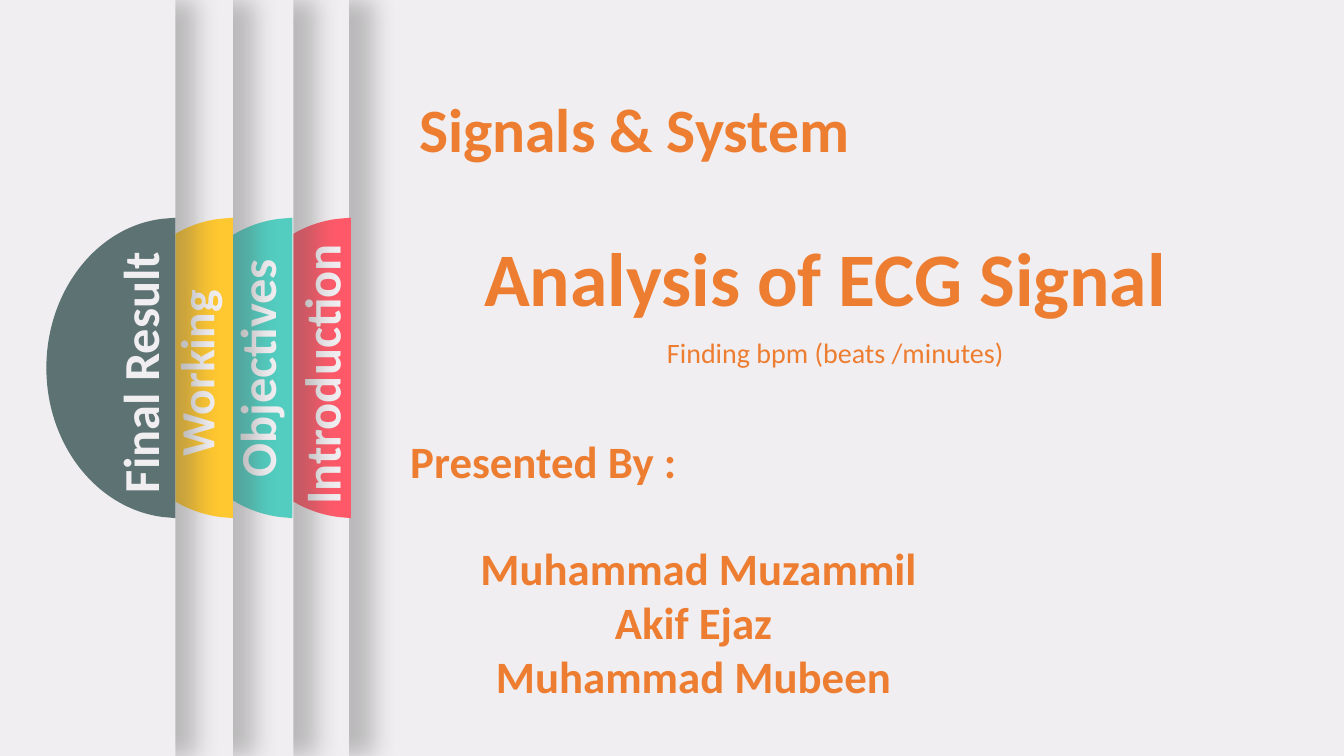
from lxml import etree
from pptx import Presentation
from pptx.dml.color import RGBColor
from pptx.enum.shapes import MSO_SHAPE
from pptx.enum.text import MSO_ANCHOR, MSO_AUTO_SIZE, PP_ALIGN
from pptx.oxml.ns import qn
from pptx.util import Inches, Pt

RECTANGLE = MSO_SHAPE.RECTANGLE
TOP = MSO_ANCHOR.TOP
NO_AUTOFIT = MSO_AUTO_SIZE.NONE
LEFT, CENTER = PP_ALIGN.LEFT, PP_ALIGN.CENTER

BACKGROUND = "F0EEF0"
ORANGE = "ED7D31"
SHADOW = "595959"
SLIDE_WIDTH, SLIDE_HEIGHT = 13.33, 7.5
TAB_TOP, TAB_HEIGHT = 2.16, 2.98
TAB_OUTLINE = [
    (0, 0), (0, 2.98), (-0.12, 2.97),
    (-0.77, 2.89), (-1.28, 2.26), (-1.28, 1.49),
    (-1.28, 0.72), (-0.77, 0.08), (-0.12, 0.01),
]

TABS = [
    ("Introduction", -10.19, 13.65, 3.48, "FF5969", 36,
     (1.77, 3.36, 2.83, 0.71)),
    ("Objectives", -9.61, 12.52, 2.9, "52CDC0", 36,
     (1.06, 3.3, 2.97, 0.71)),
    ("Working", -8.58, 10.89, 2.31, "FFC730", 34,
     (-0.08, 3.37, 4.04, 0.67)),
    ("Final Result", -8.73, 10.47, 1.74, "5D7373", 36,
     (-0.73, 3.34, 4.23, 0.71)),
]


def color(hex_value):
    """Turn a hex string into a colour."""
    return RGBColor.from_string(hex_value)


def paint(shape, hex_value):
    """Give a shape a plain fill without outline or theme shadow."""
    shape.shadow.inherit = False
    shape.fill.solid()
    shape.fill.fore_color.rgb = color(hex_value)
    shape.line.fill.background()


def place(shape, box):
    """Move a shape to a box of left, top, width and height in inches."""
    shape.left, shape.top, shape.width, shape.height = map(Inches, box)


def write(shape, lines, size, hex_value, bold=True):
    """Fill a shape with centred lines of text in one style."""
    frame = shape.text_frame
    frame.text = "\n".join(lines)
    frame.word_wrap = True
    frame.auto_size = NO_AUTOFIT
    frame.vertical_anchor = TOP
    for paragraph in frame.paragraphs:
        paragraph.alignment = CENTER
        paragraph.space_before = Pt(0)
        paragraph.line_spacing = 1.0
        for run in paragraph.runs:
            run.font.name = "Calibri"
            run.font.size = Pt(size)
            run.font.bold = bold
            run.font.color.rgb = color(hex_value)


def add_text(slide, box, lines, size, hex_value=ORANGE):
    """Add a text box and return it."""
    text_box = slide.shapes.add_textbox(*map(Inches, box))
    write(text_box, lines, size, hex_value)
    return text_box


def add_panel(slide, left, width):
    """Add a full-height panel that casts a soft shadow to its right."""
    panel = slide.shapes.add_shape(
        RECTANGLE, Inches(left), 0, Inches(width), Inches(SLIDE_HEIGHT))
    paint(panel, BACKGROUND)
    effects = panel._element.spPr.find(qn("a:effectLst"))
    shadow = etree.SubElement(
        effects, qn("a:outerShdw"), blurRad=str(Pt(17)), dist=str(Pt(3)),
        dir="0", sx="101500", algn="l", rotWithShape="0")
    shade = etree.SubElement(shadow, qn("a:srgbClr"), val=SHADOW)
    etree.SubElement(shade, qn("a:alpha"), val="35000")


def add_half_round(slide, right, hex_value):
    """Add a half-round outline whose straight side is on the right."""
    points = [(Inches(right + x), Inches(TAB_TOP + y)) for x, y in TAB_OUTLINE]
    builder = slide.shapes.build_freeform(*points[0])
    builder.add_line_segments(points[1:], close=True)
    half_round = builder.convert_to_shape()
    paint(half_round, hex_value)
    segments = list(half_round._element.iter(qn("a:lnTo")))
    for curve_parts in (segments[2:5], segments[5:8]):
        curve = etree.Element(qn("a:cubicBezTo"))
        curve_parts[0].addprevious(curve)
        for segment in curve_parts:
            curve.append(segment[0])
            segment.getparent().remove(segment)


def add_tab(slide, label, left, width, right, hex_value, size, label_box):
    """Add a panel with a half-round tab and an upright label."""
    add_panel(slide, left, width)
    add_half_round(slide, right, hex_value)
    add_text(slide, label_box, [label], size, BACKGROUND).rotation = 270


def add_heading(slide, box):
    """Place the course name, the title and the subtitle in a box."""
    left, top, width, _ = box
    add_text(slide, (left, top, 5.01, 0.84), ["Signals & System"], 44)
    title, subtitle = slide.placeholders
    place(title, (left + 0.27, top + 1.39, width - 0.27, 1.01))
    write(title, ["Analysis of ECG Signal"], 54, ORANGE)
    place(subtitle, (left + 2.52, top + 2.43, 3.95, 0.44))
    write(subtitle, ["Finding bpm (beats /minutes)"], 20, ORANGE, bold=False)


def add_presenters(slide, box):
    """List the presenters below their heading."""
    lines = ["Presented By :", "Muhammad Muzammil", "Akif Ejaz ",
             "Muhammad Mubeen "]
    paragraphs = add_text(slide, box, lines, 32).text_frame.paragraphs
    paragraphs[0].alignment = LEFT
    paragraphs[1].space_before = Pt(38.5)


def main():
    """Build the title slide and save it."""
    presentation = Presentation()
    presentation.slide_width = Inches(SLIDE_WIDTH)
    presentation.slide_height = Inches(SLIDE_HEIGHT)
    slide = presentation.slides.add_slide(presentation.slide_layouts[0])
    slide.background.fill.solid()
    slide.background.fill.fore_color.rgb = color(BACKGROUND)
    for tab in TABS:
        add_tab(slide, *tab)
    add_heading(slide, (3.79, 0.85, 8.52, 2.87))
    add_presenters(slide, (3.97, 4.25, 5.92, 2.79))
    presentation.save("out.pptx")


if __name__ == "__main__":
    main()
